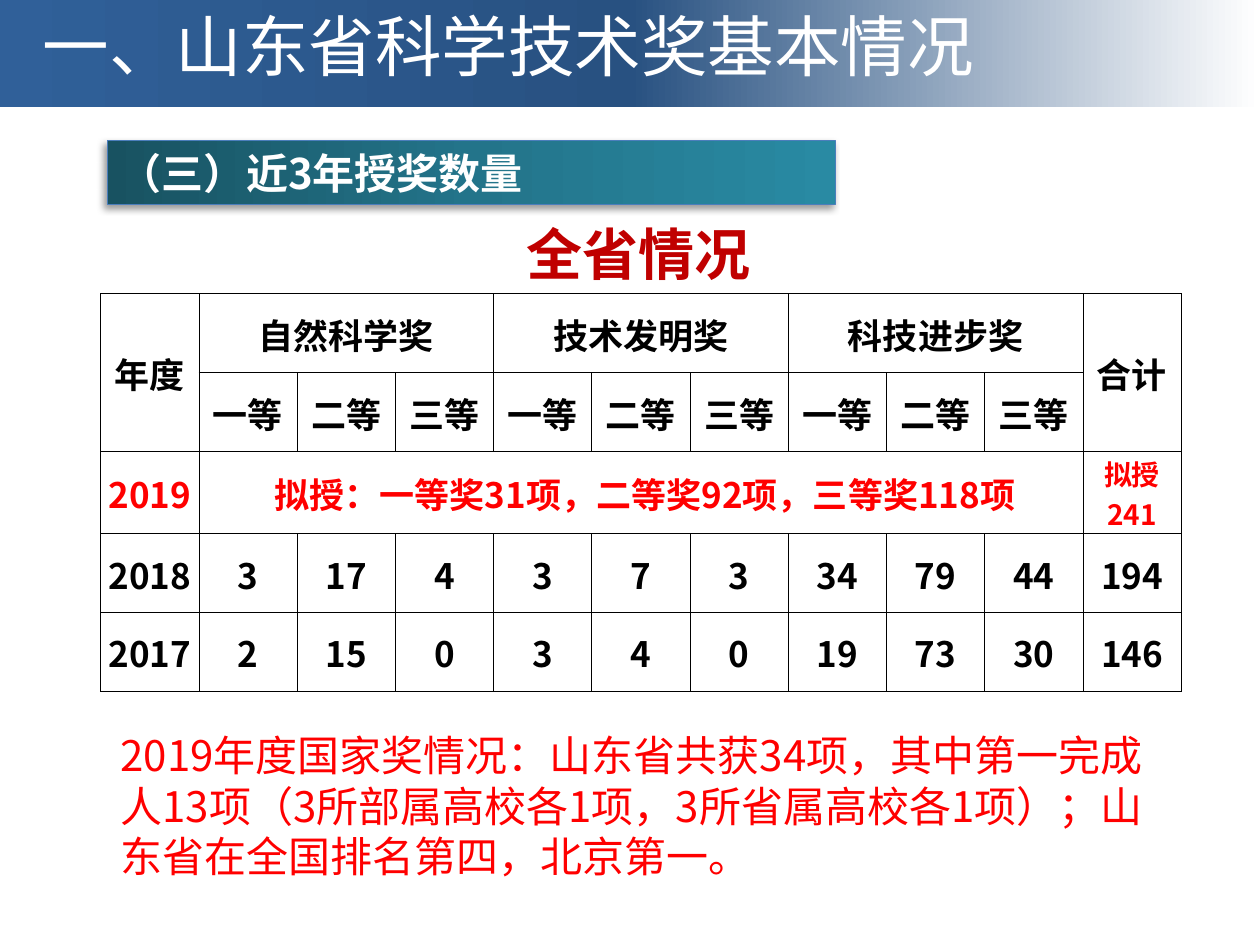
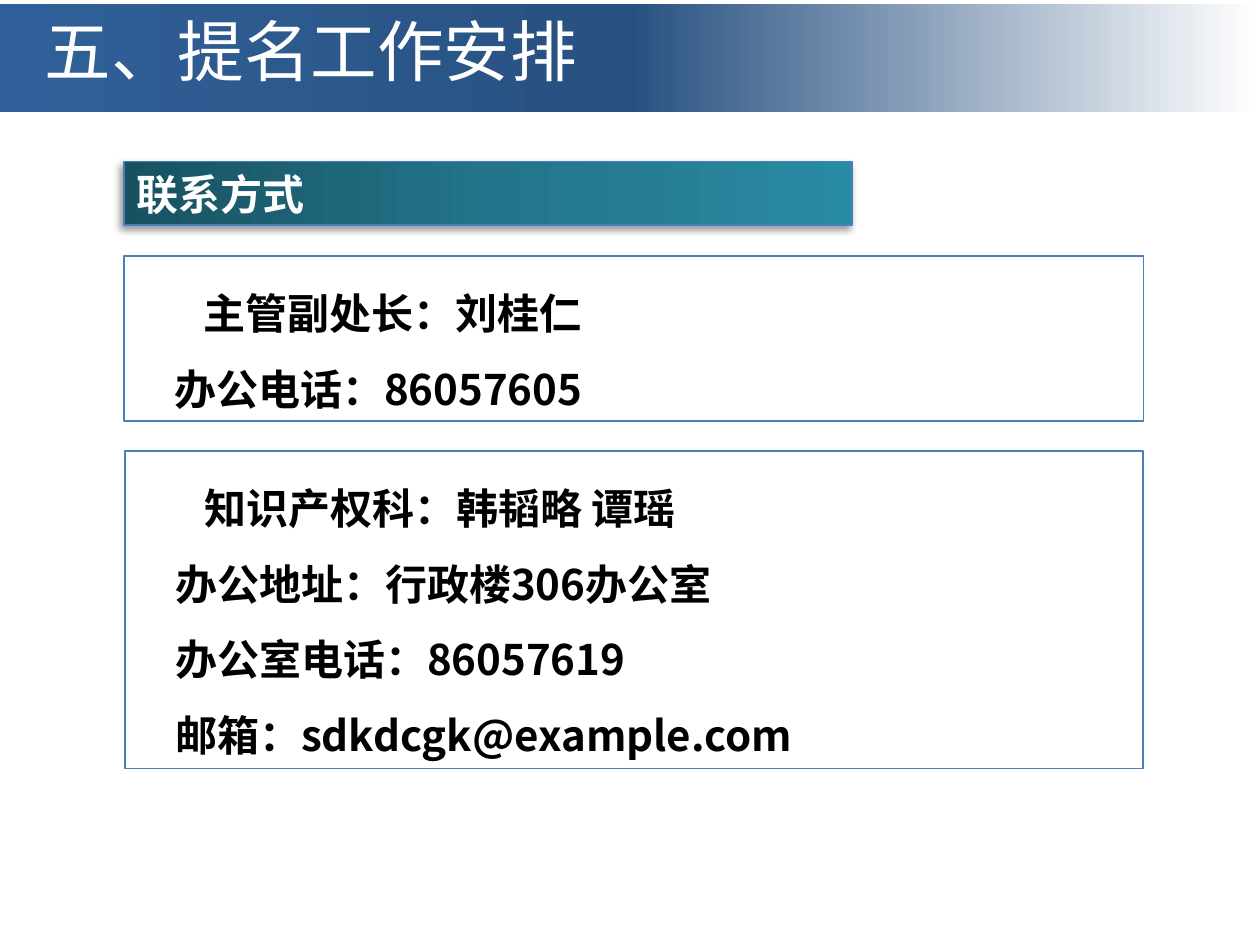
from dataclasses import dataclass

from lxml import etree
from pptx import Presentation
from pptx.dml.color import RGBColor
from pptx.enum.shapes import MSO_SHAPE
from pptx.enum.text import MSO_ANCHOR, MSO_AUTO_SIZE, PP_ALIGN
from pptx.oxml.ns import qn
from pptx.util import Cm, Pt

RECTANGLE = MSO_SHAPE.RECTANGLE
TOP, MIDDLE = MSO_ANCHOR.TOP, MSO_ANCHOR.MIDDLE
LEFT, CENTER = PP_ALIGN.LEFT, PP_ALIGN.CENTER
NO_AUTOFIT = MSO_AUTO_SIZE.NONE

FONT = "Noto Sans CJK SC"
WHITE, BLACK, RED, DARK_RED = "FFFFFF", "000000", "FF0000", "C00000"
OUTLINE = "4B7EBC"
TITLE_STOPS = [(0, WHITE), (50, "285181"), (100, "306099")]
HEADING_STOPS = [(0, "185261"), (50, "23748A"), (100, "298AA3")]
TITLE_AND_CONTENT, TWO_CONTENT = 1, 3

GRADES = ["一等", "二等", "三等"]
AWARDS = ["自然科学奖", "技术发明奖", "科技进步奖"]
COUNTS = [
    ["2018", "3", "17", "4", "3", "7", "3", "34", "79", "44", "194"],
    ["2017", "2", "15", "0", "3", "4", "0", "19", "73", "30", "146"],
]
COLUMN_WIDTH, ROW_HEIGHT = 1.98, 1.59


@dataclass
class Area:
    """A rectangle in centimetres."""
    left: float
    top: float
    width: float
    height: float

    def lengths(self) -> list:
        return [Cm(side) for side in (self.left, self.top, self.width, self.height)]


@dataclass
class Style:
    size: float
    color: str
    bold: bool = False
    spacing: float = 1.0
    align: PP_ALIGN = LEFT


@dataclass
class Contact:
    area: Area
    lines: list[str]


TITLE = Style(38, WHITE)
HEADING = Style(24, WHITE, True)
CAPTION = Style(32, DARK_RED, True)
NOTE = Style(24, RED)
CONTACT = Style(24, BLACK, True, spacing=1.5)
CELL = Style(20, BLACK, True, align=CENTER)
PLANNED = Style(20, RED, True, align=CENTER)
PLANNED_TOTAL = Style(16, RED, True, align=CENTER)

CONTACTS = [
    Contact(Area(2.5, 5.16, 20.55, 3.33),
            ["主管副处长：刘桂仁", "办公电话：86057605"]),
    Contact(Area(2.52, 9.09, 20.52, 6.4),
            ["知识产权科：韩韬略 谭瑶", "办公地址：行政楼306办公室",
             "办公室电话：86057619", "邮箱：sdkdcgk@example.com"]),
]


def rgb(color: str) -> RGBColor:
    return RGBColor.from_string(color)


def style_paragraph(para, style: Style, indent: float = 0) -> None:
    para.alignment = style.align
    para.line_spacing = style.spacing
    para.space_before = Pt(0)
    properties = para._p.get_or_add_pPr()
    properties.set("marL", "0")
    properties.set("indent", str(Cm(indent)))
    etree.SubElement(properties, qn("a:buNone"))
    font = para.font
    font.size, font.bold, font.name = Pt(style.size), style.bold, FONT
    font.color.rgb = rgb(style.color)
    east_asian = etree.SubElement(properties.find(qn("a:defRPr")), qn("a:ea"))
    east_asian.set("typeface", FONT)


def write(shape, lines: list[str], style: Style, left_inset: float = 0.25,
          indents: tuple[float, float] = (0, 0)) -> None:
    """Fill a shape with paragraphs; indents are for the first and the later ones."""
    frame = shape.text_frame
    frame.word_wrap = True
    frame.auto_size = NO_AUTOFIT
    frame.vertical_anchor = TOP
    frame.margin_left, frame.margin_right = Cm(left_inset), Cm(0.25)
    frame.margin_top = frame.margin_bottom = Cm(0.13)
    frame.text = "\n".join(lines)
    for number, para in enumerate(frame.paragraphs):
        style_paragraph(para, style, indents[min(number, 1)])


def place(shape, area: Area) -> None:
    shape.left, shape.top, shape.width, shape.height = area.lengths()


def outline(shape) -> None:
    shape.line.color.rgb = rgb(OUTLINE)
    shape.line.width = Pt(0.75)


def fill_gradient(shape, stops: list[tuple[int, str]], angle: int) -> None:
    shape.fill.gradient()
    shape.fill.gradient_angle = angle
    stop_list = shape.element.spPr.find(qn("a:gradFill")).find(qn("a:gsLst"))
    for old_stop in list(stop_list):
        stop_list.remove(old_stop)
    for position, color in stops:
        stop = etree.SubElement(stop_list, qn("a:gs"), pos=str(position * 1000))
        etree.SubElement(stop, qn("a:srgbClr"), val=color)


def add_shadow(shape) -> None:
    shape.shadow.inherit = False
    effects = shape.element.spPr.find(qn("a:effectLst"))
    shadow = etree.SubElement(effects, qn("a:outerShdw"), blurRad=str(Pt(4)),
                              dist=str(Pt(3)), dir=str(135 * 60000), rotWithShape="0")
    color = etree.SubElement(shadow, qn("a:srgbClr"), val=BLACK)
    etree.SubElement(color, qn("a:alpha"), val="40000")


def add_title(slide, text: str, top: float, left_inset: float) -> None:
    title = slide.shapes.title
    place(title, Area(0, top, 25.4, 2.18))
    fill_gradient(title, TITLE_STOPS, 180)
    write(title, [text], TITLE, left_inset)


def add_heading(slide, text: str, left: float, top: float) -> None:
    heading = slide.shapes.add_shape(RECTANGLE, *Area(left, top, 14.68, 1.28).lengths())
    fill_gradient(heading, HEADING_STOPS, 0)
    outline(heading)
    add_shadow(heading)
    write(heading, [text], HEADING)


def border_cell(cell) -> None:
    properties = cell._tc.get_or_add_tcPr()
    for number, side in enumerate(("a:lnL", "a:lnR", "a:lnT", "a:lnB")):
        line = etree.Element(qn(side), w=str(Pt(0.5)))
        fill = etree.SubElement(line, qn("a:solidFill"))
        etree.SubElement(fill, qn("a:srgbClr"), val=BLACK)
        properties.insert(number, line)


def write_cell(cell, text: str, style: Style, indent: float = 0) -> None:
    cell.text = text
    style_paragraph(cell.text_frame.paragraphs[0], style, indent)


def add_award_table(slide) -> None:
    row_count, column_count = 3 + len(COUNTS), 2 + len(AWARDS) * len(GRADES)
    area = Area(2.03, 5.92, COLUMN_WIDTH * column_count, ROW_HEIGHT * row_count)
    table = slide.shapes.add_table(row_count, column_count, *area.lengths()).table
    table.first_row = table.horz_banding = False
    for column in table.columns:
        column.width = Cm(COLUMN_WIDTH)
    for row in table.rows:
        row.height = Cm(ROW_HEIGHT)
    for cell in table.iter_cells():
        cell.fill.background()
        cell.vertical_anchor = MIDDLE
        cell.margin_left = cell.margin_right = cell.margin_top = Cm(0.03)
        cell.margin_bottom = Cm(0)
        border_cell(cell)

    last = column_count - 1
    for column, text in ((0, "年度"), (last, "合计")):
        table.cell(0, column).merge(table.cell(1, column))
        write_cell(table.cell(0, column), text, CELL)
    for number, award in enumerate(AWARDS):
        first = 1 + number * len(GRADES)
        table.cell(0, first).merge(table.cell(0, first + len(GRADES) - 1))
        write_cell(table.cell(0, first), award, CELL)
        for offset, grade in enumerate(GRADES):
            write_cell(table.cell(1, first + offset), grade, CELL)

    table.cell(2, 1).merge(table.cell(2, last - 1))
    write_cell(table.cell(2, 0), "2019", PLANNED)
    write_cell(table.cell(2, 1), "拟授：一等奖31项，二等奖92项，三等奖118项",
               PLANNED, indent=0.16)
    write_cell(table.cell(2, last), "拟授241", PLANNED_TOTAL)
    for row, counts in enumerate(COUNTS, start=3):
        for column, count in enumerate(counts):
            write_cell(table.cell(row, column), count, CELL)


def build_awards_slide(deck) -> None:
    slide = deck.slides.add_slide(deck.slide_layouts[TITLE_AND_CONTENT])
    add_title(slide, "一、山东省科学技术奖基本情况", -0.03, 0.86)
    add_heading(slide, "（三）近3年授奖数量", 2.17, 2.84)
    caption = slide.shapes.add_textbox(*Area(10.36, 4.29, 6.48, 1.63).lengths())
    write(caption, ["全省情况"], CAPTION)
    add_award_table(slide)
    note = slide.placeholders[1]
    place(note, Area(2.18, 14.58, 21.64, 3.33))
    write(note, ["2019年度国家奖情况：山东省共获34项，其中第一完成人13项"
                 "（3所部属高校各1项，3所省属高校各1项）；"
                 "山东省在全国排名第四，北京第一。"], NOTE)


def build_contacts_slide(deck) -> None:
    slide = deck.slides.add_slide(deck.slide_layouts[TWO_CONTENT])
    add_title(slide, "五、提名工作安排", 0.08, 0.9)
    add_heading(slide, "联系方式", 2.5, 3.26)
    for number, contact in enumerate(CONTACTS, start=1):
        box = slide.placeholders[number]
        place(box, contact.area)
        outline(box)
        write(box, contact.lines, CONTACT, indents=(1.35, 0.76))


def main() -> None:
    deck = Presentation()
    deck.slide_width, deck.slide_height = Cm(25.4), Cm(19.05)
    build_awards_slide(deck)
    build_contacts_slide(deck)
    deck.save("out.pptx")


if __name__ == "__main__":
    main()
